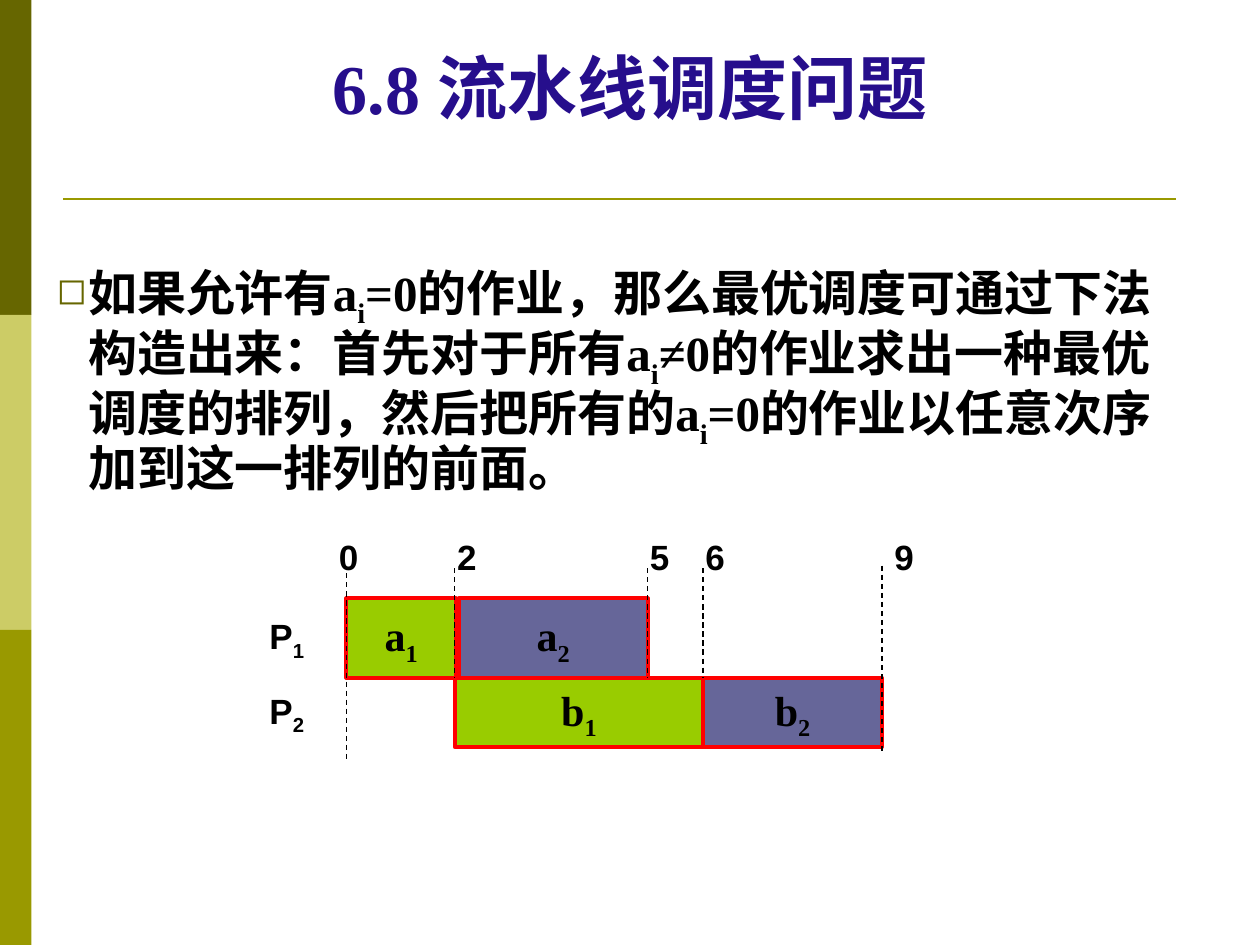
import pptx
import pptx.dml.color
import pptx.enum.dml
import pptx.enum.shapes
import pptx.enum.text
import pptx.oxml
import pptx.oxml.ns
import pptx.util

Inches = pptx.util.Inches
Pt = pptx.util.Pt
ALIGN = pptx.enum.text.PP_ALIGN
ANCHOR = pptx.enum.text.MSO_ANCHOR
SHAPE = pptx.enum.shapes.MSO_SHAPE
CONNECTOR = pptx.enum.shapes.MSO_CONNECTOR


def color(value):
    return pptx.dml.color.RGBColor.from_string(value)


def write(box, pieces, size, font_name, ink, frame_format, para_format):
    frame = box.text_frame
    for name, value in frame_format.items():
        setattr(frame, name, value)
    para = frame.paragraphs[0]
    for name, value in para_format.items():
        setattr(para, name, value)
    for index, piece in enumerate(pieces):
        span = para.add_run()
        span.text = piece
        for name, value in {"size": Pt(size), "name": font_name, "bold": True}.items():
            setattr(span.font, name, value)
        span.font.color.rgb = color(ink)
        if index % 2:
            span._r.get_or_add_rPr().set("baseline", "-25000")
    return para


deck = pptx.Presentation()
deck.slide_width, deck.slide_height = Inches(10), Inches(7.5)
page = deck.slides.add_slide(deck.slide_layouts[1])

for index, fill in enumerate(["666600", "CCCC66", "999900"]):
    band = page.shapes.add_shape(SHAPE.RECTANGLE, 0, Inches(2.5 * index), Inches(0.25), Inches(2.5))
    band.shadow.inherit = False
    band.fill.solid()
    band.fill.fore_color.rgb = color(fill)
    band.line.fill.background()

title = page.shapes.title
body = page.placeholders[1]
for box, place in [(title, (0.5, 0.3, 9, 0.77)), (body, (0.35, 2.04, 9, 4.85))]:
    box.left, box.top, box.width, box.height = map(Inches, place)

placeholder_frame = {"word_wrap": True, "auto_size": pptx.enum.text.MSO_AUTO_SIZE.NONE}
write(title, ["6.8 流水线调度问题"], 40, "Times New Roman", "260E8C",
      placeholder_frame | {"vertical_anchor": ANCHOR.BOTTOM}, {"alignment": ALIGN.CENTER})
sentence = ["如果允许有a", "i", "=0的作业，那么最优调度可通过下法构造出来：首先对于所有a", "i",
            "≠0的作业求出一种最优调度的排列，然后把所有的a", "i", "=0的作业以任意次序加到这一排列的前面。"]
para = write(body, sentence, 28, "Times New Roman", "000000",
             placeholder_frame | {"vertical_anchor": ANCHOR.TOP},
             {"line_spacing": 0.9, "space_before": Pt(0)})
properties = para._p.get_or_add_pPr()
properties.set("marL", str(Inches(0.25)))
properties.set("indent", str(Inches(-0.25)))
namespace = pptx.oxml.ns.nsdecls("a")
for markup in [f'<a:buClr {namespace}><a:srgbClr val="666600"/></a:buClr>',
               f'<a:buSzPct {namespace} val="75000"/>',
               f'<a:buFont {namespace} typeface="DejaVu Sans"/>',
               f'<a:buChar {namespace} char="◻"/>']:
    properties.append(pptx.oxml.parse_xml(markup))

tasks = [("a", "1", 2.75, 4.75, 0.87, 0.63, "99CC00"),
         ("b", "2", 5.58, 5.38, 1.42, 0.55, "666699"),
         ("b", "1", 3.61, 5.38, 1.97, 0.55, "99CC00"),
         ("a", "2", 3.64, 4.75, 1.5, 0.63, "666699")]
for letter, number, left, top, width, height, fill in tasks:
    task = page.shapes.add_shape(SHAPE.RECTANGLE, *map(Inches, (left, top, width, height)))
    task.shadow.inherit = False
    task.fill.solid()
    task.fill.fore_color.rgb = color(fill)
    task.line.color.rgb = color("FF0000")
    task.line.width = Pt(2.25)
    write(task, [letter, number], 24, "Times New Roman", "000000",
          {"word_wrap": False, "vertical_anchor": ANCHOR.MIDDLE},
          {"alignment": ALIGN.CENTER, "line_spacing": 0.8})

lines = [(0.5, 1.58, 9.33, 1.58, "999900", 1.5, None)]
for x, top, bottom in [(2.75, 4.55, 6.05), (3.61, 4.51, 5.38), (5.14, 4.51, 5.38),
                       (5.58, 4.51, 5.38), (7, 4.49, 5.98)]:
    lines.append((x, top, x, bottom, "000000", 0.75, pptx.enum.dml.MSO_LINE.DASH))
for x1, y1, x2, y2, ink, weight, dash in lines:
    line = page.shapes.add_connector(CONNECTOR.STRAIGHT, *map(Inches, (x1, y1, x2, y2)))
    line.line.color.rgb = color(ink)
    line.line.width = Pt(weight)
    line.line.dash_style = dash
    line._element.spPr.append(pptx.oxml.parse_xml(f"<a:effectLst {namespace}/>"))

labels = [(["0"], 2.59, 4.2, 0.32, 0.44), (["2"], 3.53, 4.2, 0.32, 0.44),
          (["5"], 5.06, 4.2, 0.39, 0.44), (["6"], 5.5, 4.2, 0.39, 0.44),
          (["9"], 7, 4.2, 0.39, 0.44),
          (["P", "1"], 2.04, 4.83, 0.51, 0.48), (["P", "2"], 2.04, 5.42, 0.51, 0.48)]
for pieces, *place in labels:
    label = page.shapes.add_textbox(*map(Inches, place))
    write(label, pieces, 20, "Arial", "000000", {"word_wrap": True}, {})

deck.save("out.pptx")
